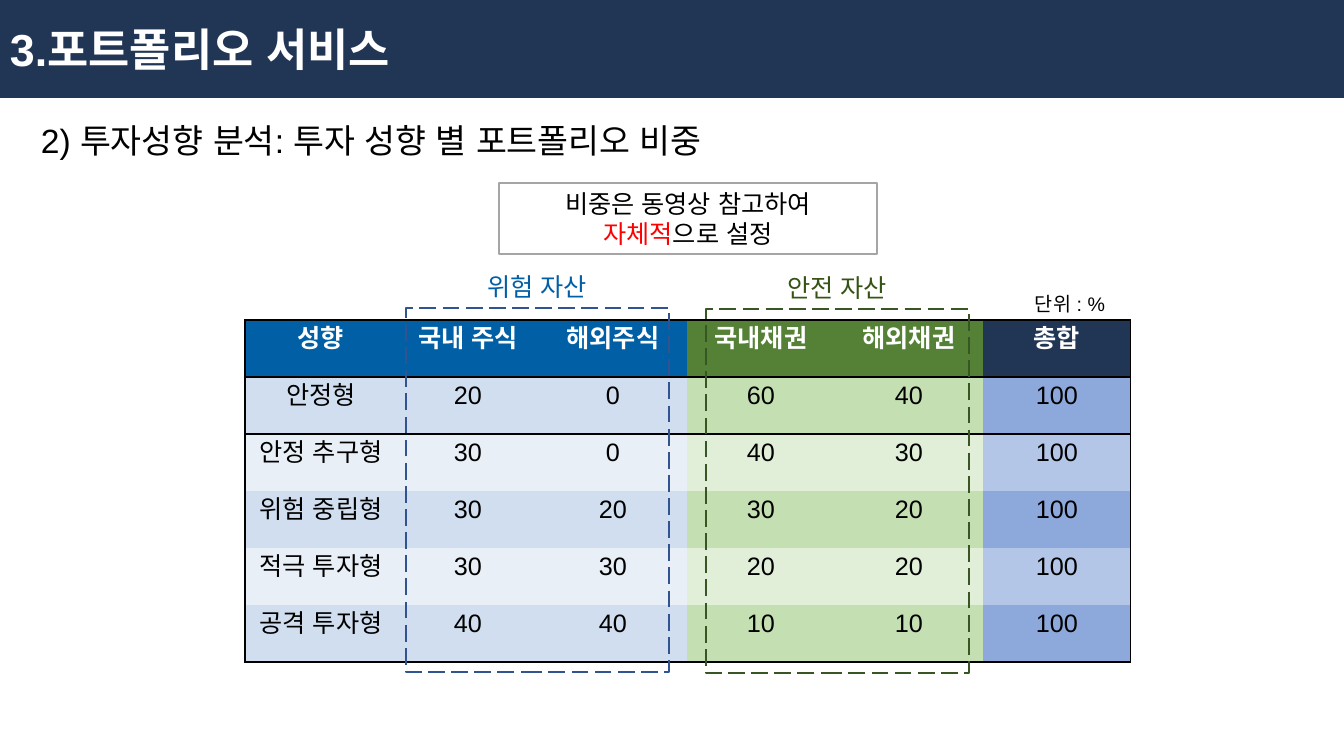
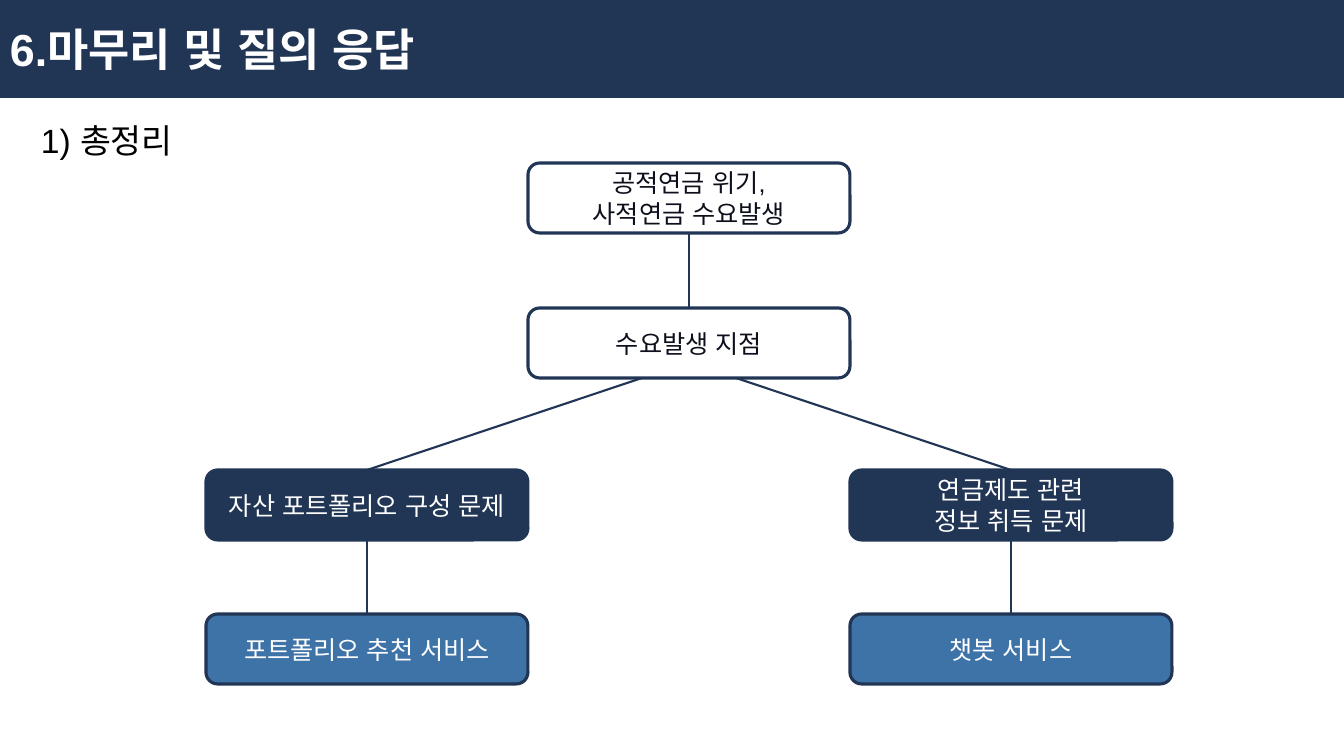
"""Build two slides: a portfolio weight table and a closing summary tree."""
from lxml import etree
from pptx import Presentation
from pptx.dml.color import RGBColor
from pptx.enum.dml import MSO_LINE
from pptx.enum.shapes import MSO_CONNECTOR, MSO_SHAPE
from pptx.enum.text import MSO_ANCHOR, PP_ALIGN
from pptx.oxml.ns import qn
from pptx.util import Pt

PX = 9072
WIDTH, HEIGHT = 1344, 756
FONT = "Arial"
NAVY, BLUE, STEEL = "213555", "005FA5", "3E73A8"
GREEN, WHITE, BLACK, INK = "548135", "FFFFFF", "000000", "0D101C"
RECT, ROUNDED = MSO_SHAPE.RECTANGLE, MSO_SHAPE.ROUNDED_RECTANGLE
LEFT, CENTER = PP_ALIGN.LEFT, PP_ALIGN.CENTER
TOP, MIDDLE = MSO_ANCHOR.TOP, MSO_ANCHOR.MIDDLE
LONG_DASH, STRAIGHT = MSO_LINE.LONG_DASH, MSO_CONNECTOR.STRAIGHT
color = RGBColor.from_string


def write(frame, text, ink, size=18, bold=False, align=CENTER):
    """Fill a text frame; a newline starts a paragraph and a bar starts a span."""
    frame.word_wrap = True
    for index, line in enumerate(text.split("\n")):
        para = frame.paragraphs[0] if index == 0 else frame.add_paragraph()
        para.alignment = align
        for piece in line.split("|"):
            span = para.add_run()
            span.text = piece
            span.font.color.rgb = color(ink)
            for name, value in {"size": Pt(size), "bold": bold, "name": FONT}.items():
                setattr(span.font, name, value)
            etree.SubElement(span.font._element, qn("a:ea"), typeface=FONT)


def add_box(page, kind, place, text="", ink=BLACK, fill=None, line=None,
            weight=1, anchor=TOP, **style):
    """Add a shape, or a text box when kind is None, and write its text."""
    left, top, width, height = [value * PX for value in place]
    if kind is None:
        box = page.shapes.add_textbox(left, top, width, height)
    else:
        box = page.shapes.add_shape(kind, left, top, width, height)
        box.shadow.inherit = False
        for part, shade in ((box.fill, fill), (box.line.fill, line)):
            if shade:
                part.solid()
                part.fore_color.rgb = color(shade)
            else:
                part.background()
        if line:
            box.line.width = Pt(weight)
    box.text_frame.vertical_anchor = anchor
    if text:
        write(box.text_frame, text, ink, **style)
    return box


deck = Presentation()
deck.slide_width, deck.slide_height = WIDTH * PX, HEIGHT * PX

headings = [
    ("3.포트폴리오 서비스", "2) 투자성향 분석: 투자 성향 별 포트폴리오 비중"),
    ("6.마무리 및 질의 응답", "1) 총정리"),
]
pages = []
for title, subtitle in headings:
    page = deck.slides.add_slide(deck.slide_layouts[6])
    add_box(page, RECT, (0, 0, WIDTH, 98), title, WHITE, NAVY,
            anchor=MIDDLE, size=32, bold=True, align=LEFT)
    add_box(page, None, (31, 115, 798, 50), subtitle, size=24, align=LEFT)
    pages.append(page)
table_page, tree_page = pages

rows = [
    ("성향", "국내 주식", "해외주식", "국내채권", "해외채권", "총합"),
    ("안정형", 20, 0, 60, 40, 100),
    ("안정 추구형", 30, 0, 40, 30, 100),
    ("위험 중립형", 30, 20, 30, 20, 100),
    ("적극 투자형", 30, 30, 20, 20, 100),
    ("공격 투자형", 40, 40, 10, 10, 100),
]
widths = [152, 142] + [148] * 4
row_height = 57
header_fills = [BLUE] * 3 + [GREEN] * 2 + [NAVY]
odd_fills = ["D0DEEF"] * 3 + ["C4E0B2"] * 2 + ["8DA9DB"]
even_fills = ["E9EFF7"] * 3 + ["E1EFD8"] * 2 + ["B3C6E7"]
ruled_rows, ruled_columns = {0, 1, 2, len(rows)}, {0, len(widths)}

table = table_page.shapes.add_table(
    len(rows), len(widths), 245 * PX, 320 * PX,
    sum(widths) * PX, len(rows) * row_height * PX).table
for column, width in zip(table.columns, widths):
    column.width = width * PX
for r, values in enumerate(rows):
    table.rows[r].height = row_height * PX
    fills = header_fills if r == 0 else odd_fills if r % 2 else even_fills
    for c, value in enumerate(values):
        cell = table.cell(r, c)
        write(cell.text_frame, str(value), BLACK if r else WHITE, bold=r == 0)
        edges = {"a:lnL": c in ruled_columns, "a:lnR": c + 1 in ruled_columns,
                 "a:lnT": r in ruled_rows, "a:lnB": r + 1 in ruled_rows}
        properties = cell._tc.get_or_add_tcPr()
        for tag, ruled in edges.items():
            edge = etree.SubElement(properties, qn(tag), w=str(Pt(1)))
            if ruled:
                paint = etree.SubElement(edge, qn("a:solidFill"))
                etree.SubElement(paint, qn("a:srgbClr"), val=BLACK)
            else:
                etree.SubElement(edge, qn("a:noFill"))
        cell.fill.solid()
        cell.fill.fore_color.rgb = color(fills[c])

add_box(table_page, None, (1025, 287, 106, 34), "단위 : %", size=14, align=LEFT)
note = add_box(table_page, RECT, (499, 183, 378, 71),
               "비중은 동영상 참고하여 |자체적|으로 설정", line="A5A5A5")
note.text_frame.paragraphs[0].runs[1].font.color.rgb = color("FF0000")

asset_groups = [
    ("위험 자산", 406, 308, BLUE, "31538F"),
    ("안전 자산", 706, 309, "355313", "385623"),
]
for label, left, top, ink, line in asset_groups:
    outline = add_box(table_page, RECT, (left, top, 263, 364), line=line, weight=1.5)
    outline.line.dash_style = LONG_DASH
    add_box(table_page, None, (left + 34, top - 42, 194, 40), label, ink)

node_width, node_height = 322, 70
column_lefts = [206 + node_width * index for index in range(3)]
row_tops = [163, 308, 470, 614]
nodes = [
    ("crisis", 1, 0, "공적연금 위기,\n사적연금 수요발생", INK, WHITE),
    ("demand", 1, 1, "수요발생 지점", INK, WHITE),
    ("assets", 0, 2, "자산 포트폴리오 구성 문제", WHITE, NAVY),
    ("pension", 2, 2, "연금제도 관련\n정보 취득 문제", WHITE, NAVY),
    ("portfolio", 0, 3, "포트폴리오 추천 서비스", WHITE, STEEL),
    ("chatbot", 2, 3, "챗봇 서비스", WHITE, STEEL),
]
boxes = {}
for name, column, row, text, ink, fill in nodes:
    place = (column_lefts[column], row_tops[row], node_width, node_height)
    boxes[name] = add_box(tree_page, ROUNDED, place, text, ink, fill, NAVY, 2.25, MIDDLE)

links = [
    ("crisis", "demand", 0),
    ("demand", "assets", -47),
    ("demand", "pension", 47),
    ("pension", "chatbot", 0),
    ("assets", "portfolio", 0),
]
for upper, lower, shift in links:
    start, end = boxes[upper], boxes[lower]
    link = tree_page.shapes.add_connector(
        STRAIGHT, start.left + start.width // 2 + shift * PX, start.top + start.height,
        end.left + end.width // 2, end.top)
    if shift == 0:
        link.begin_connect(start, 2)
    link.end_connect(end, 0)
    link.line.color.rgb = color(NAVY)
    link.line.width = Pt(1.5)
    etree.SubElement(link._element.spPr, qn("a:effectLst"))

deck.save("out.pptx")
